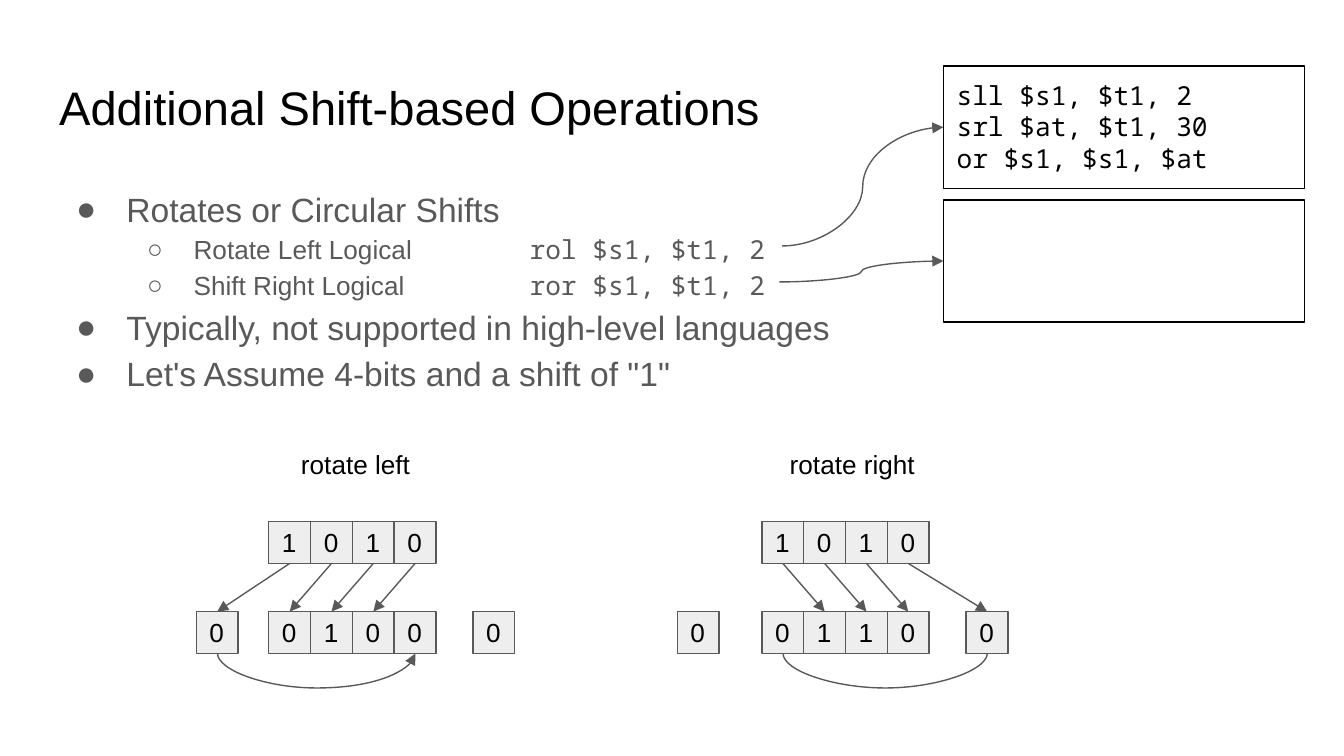
from lxml.etree import SubElement
from pptx import Presentation
from pptx.dml.color import RGBColor
from pptx.enum.shapes import MSO_CONNECTOR as LINK, MSO_SHAPE
from pptx.enum.text import MSO_ANCHOR, MSO_AUTO_SIZE, PP_ALIGN
from pptx.oxml.ns import qn
from pptx.util import Cm, Pt

BLACK = RGBColor(0x00, 0x00, 0x00)
GRAY = RGBColor(0x59, 0x59, 0x59)
PALE = RGBColor(0xEE, 0xEE, 0xEE)
SANS, MONO = "Arial", "Noto Sans Mono"
INSET = Cm(0.25)
CELL = Cm(0.79)
TOP_SITE, LEFT_SITE, BOTTOM_SITE = 0, 1, 2

deck = Presentation()
deck.slide_width, deck.slide_height = Cm(25.4), Cm(14.29)
page = deck.slides.add_slide(deck.slide_layouts[6])


def add_span(box, para, text, size, font=SANS, color=BLACK):
    """Add one run and give its frame the common insets."""
    frame = box.text_frame
    frame.word_wrap = True
    frame.margin_left = frame.margin_right = INSET
    frame.margin_top = frame.margin_bottom = INSET
    span = para.add_run()
    span.text = text
    span.font.size, span.font.name = Pt(size), font
    span.font.color.rgb = color


def add_link(kind, x1, y1, x2, y2, arrow=True):
    """Add a thin gray connector without a shadow."""
    link = page.shapes.add_connector(kind, x1, y1, x2, y2)
    link.line.color.rgb, link.line.width = GRAY, Pt(0.75)
    if arrow:
        SubElement(link.line._get_or_add_ln(), qn("a:tailEnd"), type="triangle")
    SubElement(link._element.spPr, qn("a:effectLst"))
    return link


# Bulleted body
body = page.shapes.add_textbox(Cm(0.87), Cm(3.2), Cm(23.67), Cm(9.49))
items = [
    (0, "Rotates or Circular Shifts", ""),
    (1, "Rotate Left Logical\t\t", "rol $s1, $t1, 2"),
    (1, "Shift Right Logical\t\t", "ror $s1, $t1, 2"),
    (0, "Typically, not supported in high-level languages", ""),
    (0, "Let's Assume 4-bits and a shift of \"1\"", ""),
]
for index, (level, text, code) in enumerate(items):
    para = body.text_frame.paragraphs[0] if index == 0 else body.text_frame.add_paragraph()
    para.level, para.line_spacing = level, 1.15
    props = para._p.get_or_add_pPr()
    props.set("marL", str(Cm(1.27 * (level + 1))))
    props.set("indent", str(-Cm((0.95, 0.88)[level])))
    bullet_color = SubElement(props, qn("a:buClr"))
    SubElement(bullet_color, qn("a:srgbClr"), val=str(GRAY))
    SubElement(props, qn("a:buFont"), typeface=SANS)
    SubElement(props, qn("a:buChar"), char="●○"[level])
    size = (18, 14)[level]
    add_span(body, para, text, size, color=GRAY)
    if code:
        add_span(body, para, code, size, MONO, GRAY)

# Title
title = page.shapes.add_textbox(Cm(0.87), Cm(1.24), Cm(23.67), Cm(1.6))
add_span(title, title.text_frame.paragraphs[0], "Additional Shift-based Operations", 25.2)

# Rotation diagrams: label, register left, lone cells' left, bits before and after
diagrams = [
    ("rotate left ", 5.08, (3.71, 8.94), "1010", "0100"),
    ("rotate right", 14.4, (12.8, 18.26), "1010", "0110"),
]
for label, left, lone_lefts, before, after in diagrams:
    caption = page.shapes.add_textbox(Cm(left - 0.59), Cm(8.23), Cm(4.6), Cm(1.12))
    caption.text_frame.auto_size = MSO_AUTO_SIZE.SHAPE_TO_FIT_TEXT
    para = caption.text_frame.paragraphs[0]
    para.alignment = PP_ALIGN.CENTER
    add_span(caption, para, label, 14)

    # Two registers as groups, then the lone cells
    rows = []
    for bits, lefts, top in (
        (before, [Cm(left) + i * CELL for i in range(4)], 9.86),
        (after, [Cm(left) + i * CELL for i in range(4)], 11.56),
        ("00", [Cm(x) for x in lone_lefts], 11.56),
    ):
        holder = page.shapes if bits == "00" else page.shapes.add_group_shape().shapes
        cells = []
        for bit, cell_left in zip(bits, lefts):
            cell = holder.add_shape(MSO_SHAPE.RECTANGLE, cell_left, Cm(top), CELL, CELL)
            cell.shadow.inherit = False
            cell.fill.solid()
            cell.fill.fore_color.rgb = PALE
            cell.line.color.rgb, cell.line.width = GRAY, Pt(0.75)
            cell.text_frame.vertical_anchor = MSO_ANCHOR.MIDDLE
            para = cell.text_frame.paragraphs[0]
            para.alignment = PP_ALIGN.LEFT
            add_span(cell, para, bit, 14)
            cells.append(cell)
        rows.append(cells)
    sources, results, (lone_left, lone_right) = rows

    # Straight arrows, one for each bit
    to_left = label.startswith("rotate left")
    targets = [lone_left] + results[:3] if to_left else results[1:] + [lone_right]
    for source, target in zip(sources, targets):
        arrow = add_link(LINK.STRAIGHT, source.left + CELL // 2, source.top + CELL,
                         target.left + CELL // 2, target.top)
        arrow.begin_connect(source, BOTTOM_SITE)
        arrow.end_connect(target, TOP_SITE)

    # Wrap-around arc: a very thin curve, turned so that it bulges downwards
    start, end = (lone_left, results[3]) if to_left else (lone_right, results[0])
    x1, x2, y = start.left + CELL // 2, end.left + CELL // 2, start.top + CELL
    arc = add_link(LINK.CURVE, x1, y, x2, y, arrow=to_left)
    arc.begin_connect(start, BOTTOM_SITE)
    arc.end_connect(end, BOTTOM_SITE)
    span_width = abs(x2 - x1)
    arc.left, arc.top = (x1 + x2) // 2, y - span_width // 2
    arc.width, arc.height = Cm(0.01), span_width
    frame = arc._element.spPr.find(qn("a:xfrm"))
    frame.set("rot", str((270 if to_left else 90) * 60000))
    frame.set("flipH", "1" if to_left else "0")
    frame.set("flipV", "0")
    geometry = arc._element.spPr.find(qn("a:prstGeom"))
    guides = geometry.find(qn("a:avLst"))
    SubElement(guides, qn("a:gd"), name="adj1", fmla="val 6600000")

# Code boxes with curved arrows from the instructions
boxes = []
for top, start_x, start_y in ((1.25, 14.78, 4.65), (3.78, 14.73, 5.33)):
    box = page.shapes.add_shape(MSO_SHAPE.RECTANGLE, Cm(17.83), Cm(top), Cm(6.83), Cm(2.31))
    box.shadow.inherit = False
    box.fill.background()
    box.line.color.rgb, box.line.width = BLACK, Pt(0.75)
    box.text_frame.vertical_anchor = MSO_ANCHOR.TOP
    boxes.append(box)
    arrow = add_link(LINK.CURVE, Cm(start_x), Cm(start_y), box.left, box.top + box.height // 2)
    arrow.end_connect(box, LEFT_SITE)

para = boxes[0].text_frame.paragraphs[0]
para.alignment = PP_ALIGN.LEFT
add_span(boxes[0], para, "sll $s1, $t1, 2", 14, MONO)
para.add_line_break()
add_span(boxes[0], para, "srl $at, $t1, 30", 14, MONO)
para = boxes[0].text_frame.add_paragraph()
para.alignment = PP_ALIGN.LEFT
add_span(boxes[0], para, "or $s1, $s1, $at", 14, MONO)

deck.save("out.pptx")
